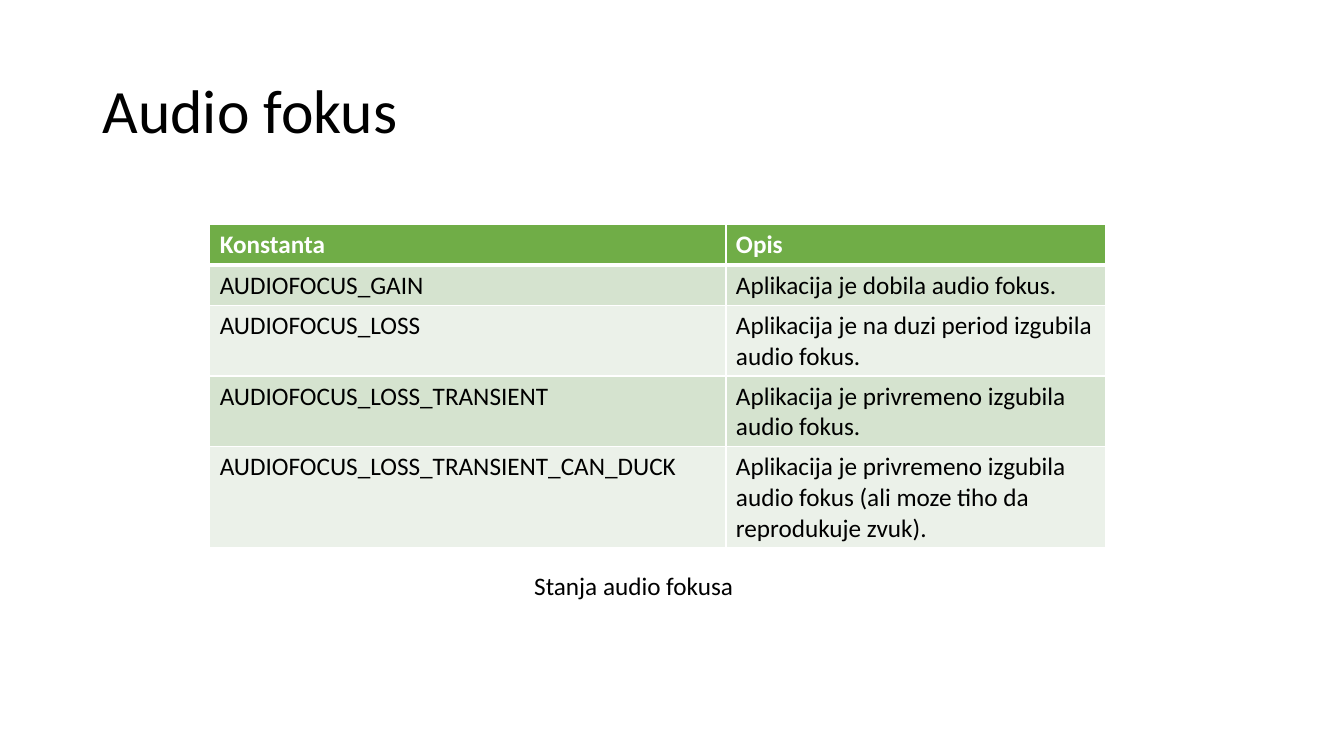
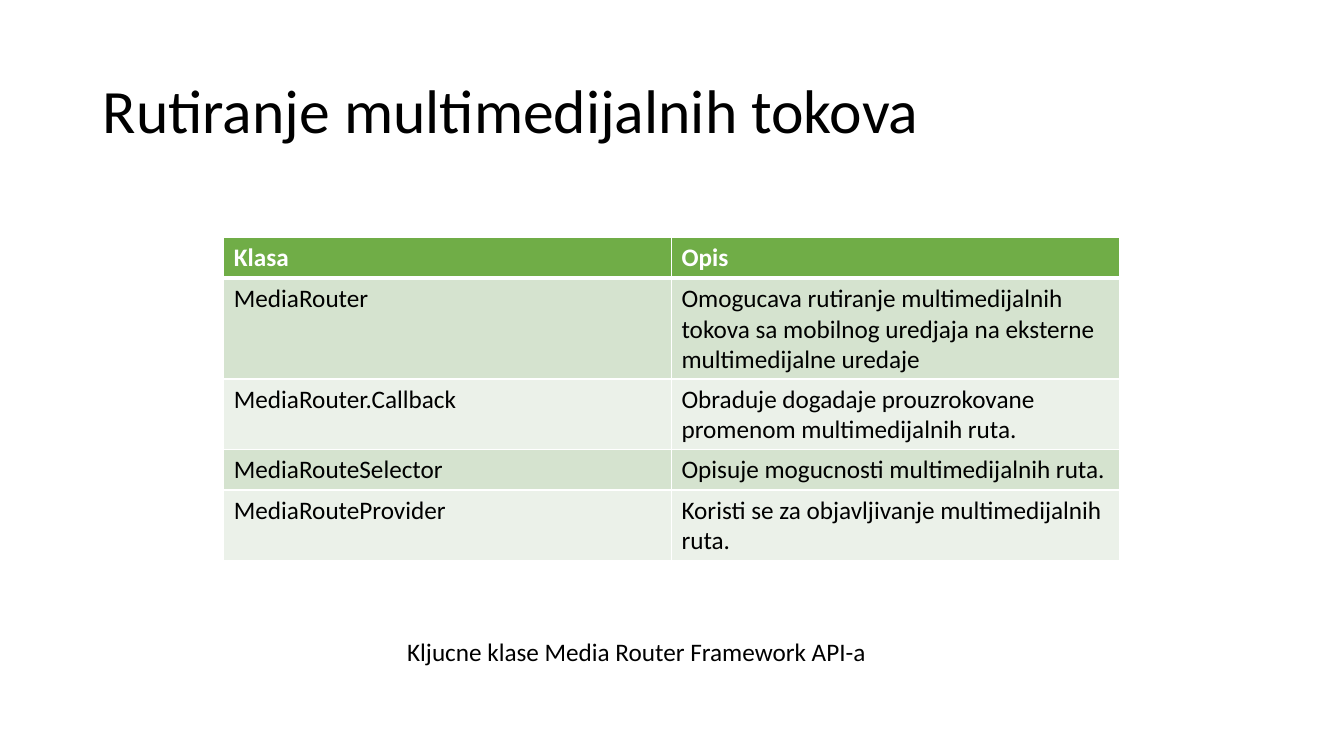
import pptx
import pptx.dml.color
import pptx.enum.text
import pptx.oxml
import pptx.oxml.ns
import pptx.util

Inches = pptx.util.Inches
Pt = pptx.util.Pt
RGBColor = pptx.dml.color.RGBColor
MSO_ANCHOR = pptx.enum.text.MSO_ANCHOR

BLACK = RGBColor(0x00, 0x00, 0x00)
WHITE = RGBColor(0xFF, 0xFF, 0xFF)
GREEN = RGBColor(0x70, 0xAD, 0x47)
BANDS = (RGBColor(0xD5, 0xE3, 0xCF), RGBColor(0xEB, 0xF1, 0xE9))

FOCUS_ROWS = [
    ("Konstanta", "Opis"),
    ("AUDIOFOCUS_GAIN", "Aplikacija je dobila audio fokus."),
    ("AUDIOFOCUS_LOSS", "Aplikacija je na duzi period izgubila audio fokus."),
    ("AUDIOFOCUS_LOSS_TRANSIENT", "Aplikacija je privremeno izgubila audio fokus."),
    ("AUDIOFOCUS_LOSS_TRANSIENT_CAN_DUCK",
     "Aplikacija je privremeno izgubila audio fokus (ali moze tiho da reprodukuje zvuk)."),
]
ROUTER_ROWS = [
    ("Klasa", "Opis"),
    ("MediaRouter",
     "Omogucava rutiranje multimedijalnih tokova sa mobilnog uredjaja "
     "na eksterne multimedijalne uredaje"),
    ("MediaRouter.Callback",
     "Obraduje dogadaje prouzrokovane promenom multimedijalnih ruta."),
    ("MediaRouteSelector", "Opisuje mogucnosti multimedijalnih ruta."),
    ("MediaRouteProvider", "Koristi se za objavljivanje multimedijalnih ruta."),
]


def write(tf, text, size=18, color=BLACK, bold=False, spacing=None):
    p = tf.paragraphs[0]
    p.line_spacing = spacing
    r = p.add_run()
    r.text = text
    r.font.name = "Calibri"
    r.font.size = Pt(size)
    r.font.bold = bold
    r.font.color.rgb = color


def set_borders(cell, top=1, bottom=1):
    """Draw white cell borders; widths are in points."""
    tcPr = cell._tc.get_or_add_tcPr()
    widths = {"lnL": 1, "lnR": 1, "lnT": top, "lnB": bottom}
    for i, (tag, width) in enumerate(widths.items()):
        ln = pptx.oxml.parse_xml(
            f'<a:{tag} {pptx.oxml.ns.nsdecls("a")} w="{Pt(width)}">'
            f'<a:solidFill><a:srgbClr val="{WHITE}"/></a:solidFill></a:{tag}>')
        tcPr.insert(i, ln)


class Deck:
    def __init__(self):
        self.prs = pptx.Presentation()
        self.prs.slide_width = Inches(13.33)
        self.prs.slide_height = Inches(7.5)
        self.s = None

    def new_slide(self, title):
        self.s = self.prs.slides.add_slide(self.prs.slide_layouts[6])
        tf = self.text_box(0.92, 0.4, 11.5, 1.45)
        tf.vertical_anchor = MSO_ANCHOR.MIDDLE
        write(tf, title, size=44, spacing=0.9)

    def text_box(self, left, top, width, height, wrap=True):
        box = self.s.shapes.add_textbox(
            Inches(left), Inches(top), Inches(width), Inches(height))
        box.text_frame.word_wrap = wrap
        return box.text_frame

    def caption(self, text, left, top, width):
        write(self.text_box(left, top, width, 0.4, wrap=False), text)

    def table(self, rows, left, top, col_widths, line_counts):
        """Add a banded table; line_counts gives the text lines in each row."""
        heights = [0.1 + 0.3 * n for n in line_counts]
        table = self.s.shapes.add_table(
            len(rows), len(col_widths), Inches(left), Inches(top),
            Inches(sum(col_widths)), Inches(sum(heights))).table
        for col, width in zip(table.columns, col_widths):
            col.width = Inches(width)
        for i, (row, height) in enumerate(zip(rows, heights)):
            table.rows[i].height = Inches(height)
            header = i == 0
            for j, text in enumerate(row):
                cell = table.cell(i, j)
                cell.fill.solid()
                cell.fill.fore_color.rgb = GREEN if header else BANDS[(i - 1) % 2]
                set_borders(cell, top=3 if i == 1 else 1, bottom=3 if header else 1)
                write(cell.text_frame, text, bold=header,
                      color=WHITE if header else BLACK)


def main():
    deck = Deck()

    deck.new_slide("Audio fokus")
    deck.table(FOCUS_ROWS, 2.08, 2.23, (5.12, 3.77), (1, 1, 2, 2, 3))
    deck.caption("Stanja audio fokusa", 5.2, 5.61, 2.42)

    deck.new_slide("Rutiranje multimedijalnih tokova")
    deck.caption("Kljucne klase Media Router Framework API-a", 3.94, 6.26, 4.8)
    deck.table(ROUTER_ROWS, 2.22, 2.36, (4.44, 4.44), (1, 3, 2, 1, 2))

    deck.prs.save("out.pptx")


if __name__ == "__main__":
    main()
